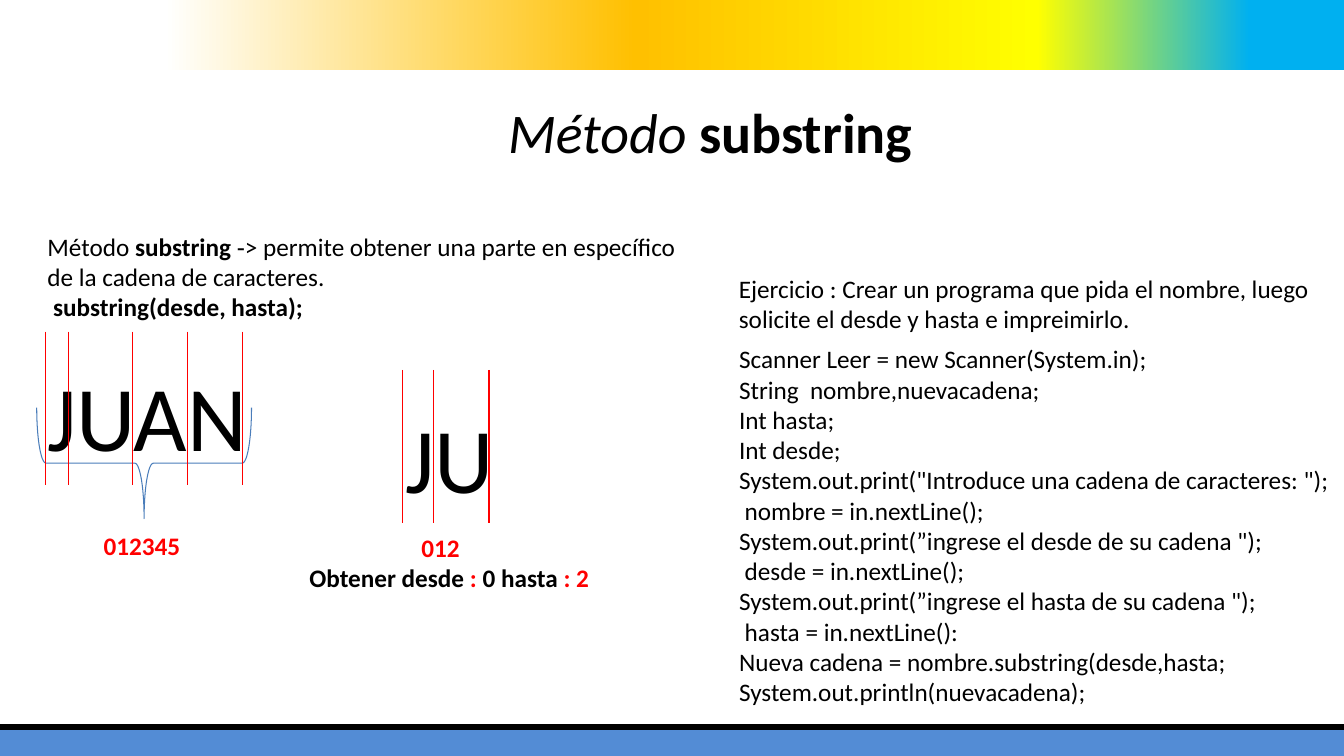
"""Builds the slide that explains the substring method."""
import dataclasses

import lxml.etree
import pptx
import pptx.dml.color
import pptx.enum.shapes
import pptx.enum.text
import pptx.oxml.ns
import pptx.util

Inches = pptx.util.Inches
qn = pptx.oxml.ns.qn


@dataclasses.dataclass(frozen=True)
class Theme:
    """Colours, type sizes and line widths of the slide."""
    font: str = "Calibri"
    ink: str = "000000"
    accent: str = "FF0000"
    brace: str = "4A7DBA"
    footer: str = "538CD5"
    banner: tuple = ((0, "FFFFFF"), (40, "FFC000"), (74, "FFFF00"),
                     (92, "00B0F0"), (100, "00B0F0"))
    title: int = 40
    body: int = 18
    letters: int = 66
    thin: float = 0.75
    thick: float = 4.5


class SlideBuilder:
    """Adds styled elements to one slide."""

    def __init__(self, slide, theme):
        """Keep the slide and its theme."""
        self.slide = slide
        self.theme = theme

    def fill_frame(self, frame, paragraphs, size):
        """Fill a frame with paragraphs of (text, style, colour) runs."""
        frame.word_wrap = True
        frame.auto_size = pptx.enum.text.MSO_AUTO_SIZE.NONE
        for index, runs in enumerate(paragraphs):
            paragraph = frame.add_paragraph() if index else frame.paragraphs[0]
            paragraph.space_before = pptx.util.Pt(0)
            for text, style, colour in runs:
                run = paragraph.add_run()
                run.text = text
                run.font.name = self.theme.font
                run.font.size = pptx.util.Pt(size)
                run.font.bold = style == "bold"
                run.font.italic = style == "italic"
                run.font.color.rgb = pptx.dml.color.RGBColor.from_string(colour)

    def text(self, box, paragraphs, size):
        """Add a text box."""
        frame = self.slide.shapes.add_textbox(*map(Inches, box)).text_frame
        self.fill_frame(frame, paragraphs, size)

    def placeholder(self, index, box, paragraphs, size):
        """Move and fill a template placeholder, without bullets."""
        holder = self.slide.placeholders[index]
        holder.left, holder.top, holder.width, holder.height = map(Inches, box)
        self.fill_frame(holder.text_frame, paragraphs, size)
        for paragraph in holder.text_frame.paragraphs:
            properties = paragraph._p.get_or_add_pPr()
            properties.set("marL", "0")
            properties.set("indent", "0")
            lxml.etree.SubElement(properties, qn("a:buNone"))

    def bar(self, box, colour):
        """Add a plain rectangle."""
        bar = self.slide.shapes.add_shape(
            pptx.enum.shapes.MSO_SHAPE.RECTANGLE, *map(Inches, box))
        bar.shadow.inherit = False
        bar.line.fill.background()
        bar.fill.solid()
        bar.fill.fore_color.rgb = pptx.dml.color.RGBColor.from_string(colour)
        return bar

    def gradient_bar(self, box, stops):
        """Add a rectangle with a left-to-right gradient."""
        bar = self.bar(box, stops[0][1])
        bar.fill.gradient()
        bar.fill.gradient_angle = 0
        stop_list = bar._element.spPr.find(qn("a:gradFill")).find(qn("a:gsLst"))
        stop_list.clear()
        for percent, colour in stops:
            stop = lxml.etree.SubElement(stop_list, qn("a:gs"), pos=str(percent * 1000))
            lxml.etree.SubElement(stop, qn("a:srgbClr"), val=colour)

    def brace(self, box, rotation):
        """Add an outlined brace."""
        brace = self.slide.shapes.add_shape(
            pptx.enum.shapes.MSO_SHAPE.LEFT_BRACE, *map(Inches, box))
        brace.rotation = rotation
        brace.shadow.inherit = False
        brace.fill.background()
        brace.line.color.rgb = pptx.dml.color.RGBColor.from_string(self.theme.brace)
        brace.line.width = pptx.util.Pt(self.theme.thin)

    def line(self, ends, colour, width):
        """Add a straight line without a shadow."""
        line = self.slide.shapes.add_connector(
            pptx.enum.shapes.MSO_CONNECTOR.STRAIGHT, *map(Inches, ends))
        line.line.color.rgb = pptx.dml.color.RGBColor.from_string(colour)
        line.line.width = pptx.util.Pt(width)
        lxml.etree.SubElement(line._element.spPr, qn("a:effectLst"))

    def cuts(self, positions, top, bottom):
        """Mark the index positions between letters."""
        for x in positions:
            self.line((x, top, x, bottom), self.theme.accent, self.theme.thin)


CODE = (
    "Scanner Leer = new Scanner(System.in);",
    "String  nombre,nuevacadena;",
    "Int hasta;",
    "Int desde;",
    'System.out.print("Introduce una cadena de caracteres: ");',
    " nombre = in.nextLine();",
    'System.out.print(”ingrese el desde de su cadena ");',
    " desde = in.nextLine();",
    'System.out.print(”ingrese el hasta de su cadena ");',
    " hasta = in.nextLine():",
    "Nueva cadena = nombre.substring(desde,hasta;",
    "System.out.println(nuevacadena);",
)
EXERCISE = (
    "Ejercicio : Crear un programa que pida el nombre, luego",
    "solicite el desde y hasta e impreimirlo.",
)


def main():
    """Build and save the slide."""
    theme = Theme()
    ink, accent = theme.ink, theme.accent
    deck = pptx.Presentation()
    deck.slide_width, deck.slide_height = Inches(13.33), Inches(7.5)
    page = SlideBuilder(deck.slides.add_slide(deck.slide_layouts[3]), theme)

    page.bar((0, 7.24, 13.33, 0.26), theme.footer)
    page.gradient_bar((1.63, 0, 11.7, 0.7), theme.banner)
    page.line((0, 7.21, 13.33, 7.21), ink, theme.thick)

    page.placeholder(0, (4.85, 0.92, 4.39, 0.77), [
        [("Método ", "italic", ink), ("substring", "bold", ink)]], theme.title)
    page.placeholder(1, (0.37, 2.24, 6.44, 1.01), [
        [("Método ", "", ink), ("substring ", "bold", ink),
         ("‐> permite obtener una parte en específico de la cadena de caracteres.",
          "", ink)],
        [(" ", "", ink), ("substring(desde, hasta);", "bold", ink)]], theme.body)
    page.placeholder(2, (7.23, 3.36, 6.1, 3.74),
                     [[(code, "", ink)] for code in CODE], theme.body)
    page.text((7.23, 2.66, 5.99, 0.71),
              [[(sentence, "", ink)] for sentence in EXERCISE], theme.body)

    page.brace((0.88, 3.53, 1.1, 2.13), 270)
    page.text((0.37, 3.51, 2.2, 1.21), [[("JUAN", "", ink)]], theme.letters)
    page.text((0.93, 5.21, 1, 0.4), [[("012345", "bold", accent)]], theme.body)
    page.cuts((0.45, 0.68, 1.31, 1.86, 2.41), 3.29, 4.81)

    page.text((3.92, 3.93, 1.09, 1.21), [[("JU", "", ink)]], theme.letters)
    page.text((4.08, 5.23, 0.59, 0.4), [[("012", "bold", accent)]], theme.body)
    page.cuts((3.99, 4.3, 4.85), 3.67, 5.19)
    page.text((2.97, 5.53, 3.06, 0.4), [
        [("Obtener desde ", "bold", ink), (": ", "bold", accent),
         ("0 hasta ", "bold", ink), (": 2", "bold", accent)]], theme.body)

    deck.save("out.pptx")


if __name__ == "__main__":
    main()
